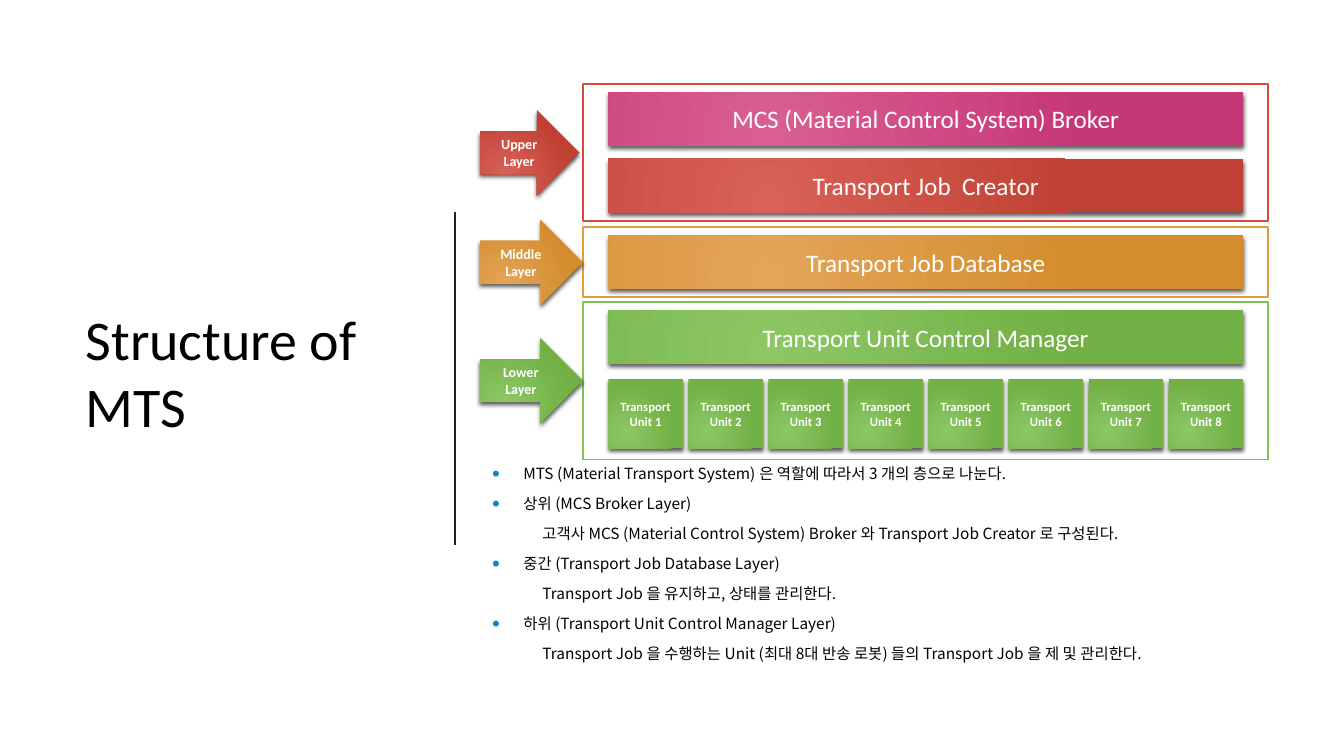
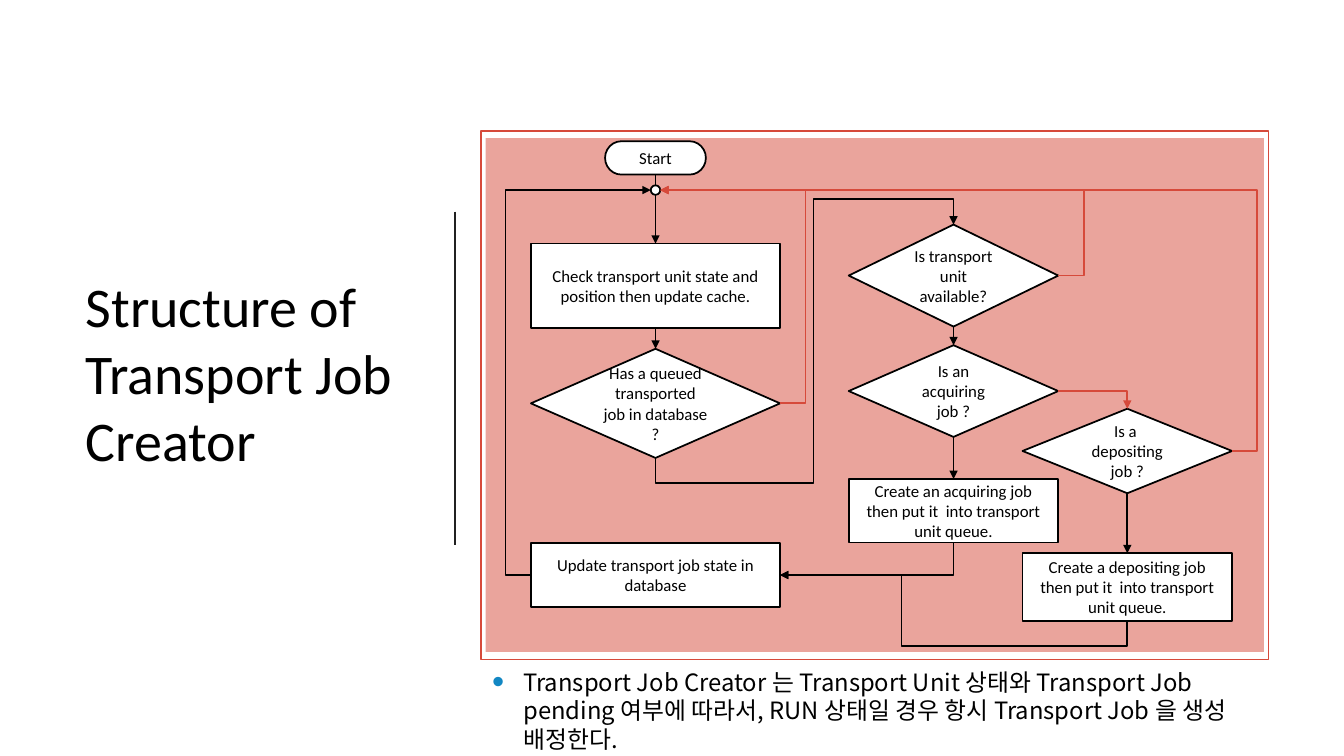
from dataclasses import dataclass
from enum import IntEnum

from lxml import etree
from pptx import Presentation
from pptx.dml.color import RGBColor
from pptx.enum.shapes import MSO_CONNECTOR, MSO_SHAPE
from pptx.enum.text import MSO_ANCHOR, PP_ALIGN
from pptx.oxml.ns import qn
from pptx.shapes.autoshape import Shape
from pptx.shapes.connector import Connector
from pptx.slide import Slide
from pptx.text.text import TextFrame
from pptx.util import Cm, Pt

RECT, ARROW = MSO_SHAPE.RECTANGLE, MSO_SHAPE.RIGHT_ARROW
PROCESS, DECISION = MSO_SHAPE.FLOWCHART_PROCESS, MSO_SHAPE.FLOWCHART_DECISION
TERMINATOR, JOINT = MSO_SHAPE.FLOWCHART_TERMINATOR, MSO_SHAPE.FLOWCHART_CONNECTOR
STRAIGHT, ELBOW = MSO_CONNECTOR.STRAIGHT, MSO_CONNECTOR.ELBOW
MIDDLE, CENTER, LEFT = MSO_ANCHOR.MIDDLE, PP_ALIGN.CENTER, PP_ALIGN.LEFT

WHITE = RGBColor(0xFF, 0xFF, 0xFF)
BLACK = RGBColor(0, 0, 0)
DIVIDER = RGBColor(0x21, 0x21, 0x21)
RED = RGBColor(0xD6, 0x4A, 0x3B)
ORANGE = RGBColor(0xE2, 0x9D, 0x3E)
GREEN = RGBColor(0x80, 0xC3, 0x4F)
BULLET = RGBColor(0x12, 0x87, 0xC3)
PINK_SHADES = RGBColor(0xD9, 0x5F, 0x92), RGBColor(0xC6, 0x37, 0x77)
RED_SHADES = RGBColor(0xD9, 0x61, 0x57), RGBColor(0xC0, 0x40, 0x33)
ORANGE_SHADES = RGBColor(0xE4, 0xA5, 0x59), RGBColor(0xD3, 0x8D, 0x2D)
GREEN_SHADES = RGBColor(0x8C, 0xC7, 0x64), RGBColor(0x72, 0xAF, 0x45)
Shades = tuple[RGBColor, RGBColor]

LATIN, KOREAN = "Calibri", "Noto Sans CJK KR"
OUTLINE = 1.25
STUB = 0.64
BODY_LEFT, BODY_WIDTH = 12.15, 19.68
BAR_LEFT, BAR_WIDTH, BAR_HEIGHT = 15.33, 16.0, 1.35
UNIT_COUNT, UNIT_TOP, UNIT_WIDTH, UNIT_HEIGHT = 8, 9.55, 1.88, 1.75
LEFT_LANE, MID_LANE, RIGHT_LANE = 16.52, 24.03, 28.41


class Side(IntEnum):
    TOP = 0
    LEFT = 1
    BOTTOM = 2
    RIGHT = 3


@dataclass(frozen=True)
class Box:
    left: float
    top: float
    width: float
    height: float


@dataclass(frozen=True)
class Bar:
    text: str
    top: float
    shades: Shades


@dataclass(frozen=True)
class Layer:
    name: str
    color: RGBColor
    shades: Shades
    top: float
    height: float
    arrow_top: float
    arrow_width: float
    bars: tuple[Bar, ...]


@dataclass(frozen=True)
class Step:
    key: str
    kind: MSO_SHAPE
    text: str
    center: float
    top: float
    width: float
    height: float


@dataclass(frozen=True)
class Flow:
    source: str
    exit: Side
    target: str
    entry: Side
    bends: int = 1
    middle: float = 0.5
    color: RGBColor = BLACK


@dataclass(frozen=True)
class Point:
    text: str
    bulleted: bool = True


LAYERS = (
    Layer("Upper", RED, RED_SHADES, 2.12, 3.45, 2.77, 2.51, (
        Bar("MCS (Material Control System) Broker", 2.32, PINK_SHADES),
        Bar("Transport Job  Creator", 4.0, RED_SHADES))),
    Layer("Middle", ORANGE, ORANGE_SHADES, 5.73, 1.75, 5.53, 2.59, (
        Bar("Transport Job Database", 5.93, ORANGE_SHADES),)),
    Layer("Lower", GREEN, GREEN_SHADES, 7.62, 3.96, 8.51, 2.59, (
        Bar("Transport Unit Control Manager", 7.82, GREEN_SHADES),)),
)

LAYER_POINTS = (
    Point("MTS (Material Transport System) 은 역할에 따라서 3 개의 층으로 나눈다."),
    Point("상위 (MCS Broker Layer)"),
    Point("고객사 MCS (Material Control System) Broker 와 Transport Job Creator 로 구성된다.", False),
    Point("중간 (Transport Job Database Layer)"),
    Point("Transport Job 을 유지하고, 상태를 관리한다.", False),
    Point("하위 (Transport Unit Control Manager Layer)"),
    Point("Transport Job 을 수행하는 Unit (최대 8대 반송 로봇) 들의 Transport Job 을 제 및 관리한다.", False),
)

CREATOR_POINTS = (
    Point("Transport Job Creator 는 Transport Unit 상태와 Transport Job pending 여부에 따라서, "
          "RUN 상태일 경우 항시 Transport Job 을 생성 배정한다."),
)

STEPS = (
    Step("start", TERMINATOR, "Start", LEFT_LANE, 3.56, 2.54, 0.84),
    Step("check", PROCESS, "Check transport unit state and position then update cache.",
         LEFT_LANE, 6.14, 6.28, 2.13),
    Step("queued", DECISION, "Has a queued transported job in database ?",
         LEFT_LANE, 8.79, 6.28, 2.75),
    Step("update", PROCESS, "Update transport job state in database",
         LEFT_LANE, 13.69, 6.28, 1.6),
    Step("available", DECISION, "Is transport unit available?", MID_LANE, 5.66, 5.28, 2.57),
    Step("acquiring", DECISION, "Is an acquiring job ?", MID_LANE, 8.7, 5.28, 2.31),
    Step("acquire", PROCESS, "Create an acquiring job then put it  into transport unit queue.",
         MID_LANE, 12.07, 5.28, 1.6),
    Step("depositing", DECISION, "Is a  depositing job ?", RIGHT_LANE, 10.3, 5.28, 2.13),
    Step("deposit", PROCESS, "Create a depositing job then put it  into transport unit queue.",
         RIGHT_LANE, 13.94, 5.28, 1.7),
)
JUNCTION = Step("junction", JOINT, "", LEFT_LANE, 4.67, 0.24, 0.24)

ENTRY_FLOW = Flow("start", Side.BOTTOM, "check", Side.TOP)
FLOWS = (
    Flow("check", Side.BOTTOM, "queued", Side.TOP),
    Flow("queued", Side.BOTTOM, "available", Side.TOP, 5, 0.53),
    Flow("available", Side.BOTTOM, "acquiring", Side.TOP),
    Flow("acquiring", Side.BOTTOM, "acquire", Side.TOP),
    Flow("depositing", Side.BOTTOM, "deposit", Side.TOP),
    Flow("acquire", Side.BOTTOM, "update", Side.RIGHT, 2),
    Flow("deposit", Side.BOTTOM, "update", Side.RIGHT, 4, 0.65),
    Flow("update", Side.LEFT, "junction", Side.LEFT, 3),
    Flow("acquiring", Side.RIGHT, "depositing", Side.TOP, 2, color=RED),
    Flow("queued", Side.RIGHT, "junction", Side.RIGHT, 3, color=RED),
    Flow("available", Side.RIGHT, "junction", Side.RIGHT, 3, color=RED),
    Flow("depositing", Side.RIGHT, "junction", Side.RIGHT, 3, color=RED),
)


def write(frame: TextFrame, lines: tuple[str, ...], size: float, color: RGBColor,
          bold: bool = False, align: PP_ALIGN = CENTER, font: str = LATIN) -> None:
    frame.word_wrap = True
    frame.vertical_anchor = MIDDLE
    for index, line in enumerate(lines):
        paragraph = frame.paragraphs[0] if index == 0 else frame.add_paragraph()
        paragraph.alignment = align
        run = paragraph.add_run()
        run.text = line
        run.font.size, run.font.bold = Pt(size), bold
        run.font.name, run.font.color.rgb = font, color
        etree.SubElement(run._r.get_or_add_rPr(), qn("a:ea"), typeface=KOREAN)


def add_text_box(slide: Slide, box: Box) -> TextFrame:
    return slide.shapes.add_textbox(
        Cm(box.left), Cm(box.top), Cm(box.width), Cm(box.height)).text_frame


def add_block(slide: Slide, kind: MSO_SHAPE, box: Box, fill: RGBColor = WHITE,
              outline: RGBColor | None = None) -> Shape:
    block = slide.shapes.add_shape(
        kind, Cm(box.left), Cm(box.top), Cm(box.width), Cm(box.height))
    block.shadow.inherit = False
    block.fill.solid()
    block.fill.fore_color.rgb = fill
    if outline is None:
        block.line.fill.background()
    else:
        block.line.color.rgb = outline
        block.line.width = Pt(OUTLINE)
    return block


def add_glossy(slide: Slide, kind: MSO_SHAPE, box: Box, shades: Shades) -> Shape:
    block = add_block(slide, kind, box)
    block.fill.gradient()
    for stop, shade in zip(block.fill.gradient_stops, shades):
        stop.color.rgb = shade
    properties = block._element.spPr
    gradient = properties.find(qn("a:gradFill"))
    gradient.remove(gradient.find(qn("a:lin")))
    circle = etree.SubElement(gradient, qn("a:path"), {"path": "circle"})
    etree.SubElement(circle, qn("a:fillToRect"), l="50000", t="100000", r="100000", b="50000")
    shadow = etree.SubElement(
        properties.find(qn("a:effectLst")), qn("a:outerShdw"), blurRad=str(Pt(3)),
        dist=str(Pt(2)), dir="5400000", algn="ctr", rotWithShape="0")
    tint = etree.SubElement(shadow, qn("a:srgbClr"), val=str(BLACK))
    etree.SubElement(tint, qn("a:alpha"), val="64000")
    return block


def style_line(line: Connector, color: RGBColor, width: float, arrow: bool = False) -> None:
    line.line.color.rgb = color
    line.line.width = Pt(width)
    properties = line._element.spPr
    if arrow:
        etree.SubElement(properties.find(qn("a:ln")), qn("a:tailEnd"), type="triangle")
    etree.SubElement(properties, qn("a:effectLst"))


def add_points(slide: Slide, points: tuple[Point, ...], box: Box, size: float) -> None:
    frame = add_text_box(slide, box)
    write(frame, tuple(point.text for point in points), size, BLACK, align=LEFT, font=KOREAN)
    for paragraph, point in zip(frame.paragraphs, points):
        paragraph.line_spacing = Pt(size * 1.2)
        paragraph.space_before, paragraph.space_after = Pt(size * 0.2), Pt(6)
        layout = paragraph._p.get_or_add_pPr()
        layout.set("marL", str(Cm(0.79 if point.bulleted else 1.27)))
        if point.bulleted:
            layout.set("indent", str(-Cm(0.79)))
            color = etree.SubElement(layout, qn("a:buClr"))
            etree.SubElement(color, qn("a:srgbClr"), val=str(BULLET))
            etree.SubElement(layout, qn("a:buSzPct"), val="145000")
            etree.SubElement(layout, qn("a:buFont"), typeface="Arial")
            etree.SubElement(layout, qn("a:buChar"), char="•")


def add_step(slide: Slide, step: Step) -> Shape:
    box = Box(step.center - step.width / 2, step.top, step.width, step.height)
    block = add_block(slide, step.kind, box, outline=BLACK)
    if step.text:
        write(block.text_frame, (step.text,), 12, BLACK)
    return block


def locate(block: Shape, side: Side) -> tuple[int, int]:
    across = {Side.LEFT: 0, Side.RIGHT: block.width}.get(side, block.width // 2)
    down = {Side.TOP: 0, Side.BOTTOM: block.height}.get(side, block.height // 2)
    return block.left + across, block.top + down


def add_flow(slide: Slide, flow: Flow, blocks: dict[str, Shape]) -> None:
    source, target = blocks[flow.source], blocks[flow.target]
    (x1, y1), (x2, y2) = locate(source, flow.exit), locate(target, flow.entry)
    if flow.bends == 1:
        line = slide.shapes.add_connector(STRAIGHT, x1, y1, x2, y2)
    else:
        turned = flow.exit in (Side.TOP, Side.BOTTOM)
        along, aside = (y2 - y1, x1 - x2) if turned else (x2 - x1, y2 - y1)
        width, height = abs(along), abs(aside)
        left, top = (x1 + x2 - width) // 2, (y1 + y2 - height) // 2
        line = slide.shapes.add_connector(ELBOW, left, top, left + width, top + height)
        frame = line._element.spPr.find(qn("a:xfrm"))
        frame.set("rot", "5400000" if turned else "0")
        frame.set("flipH", str(int(along < 0)))
        frame.set("flipV", str(int(aside < 0)))
        geometry = line._element.spPr.find(qn("a:prstGeom"))
        geometry.set("prst", f"bentConnector{flow.bends}")
        lead = -Cm(STUB) / width
        guides = geometry.find(qn("a:avLst"))
        for index, share in enumerate((lead, flow.middle, 1 - lead)[:flow.bends - 2], 1):
            etree.SubElement(guides, qn("a:gd"), name=f"adj{index}",
                             fmla=f"val {round(share * 100000)}")
    ends = line._element.find(qn("p:nvCxnSpPr")).find(qn("p:cNvCxnSpPr"))
    for tag, block, side in (("a:stCxn", source, flow.exit), ("a:endCxn", target, flow.entry)):
        site = side * 2 if block.auto_shape_type == JOINT else side
        etree.SubElement(ends, qn(tag), id=str(block.shape_id), idx=str(int(site)))
    style_line(line, flow.color, OUTLINE, arrow=True)


def add_titled_slide(deck: Presentation, title: str) -> Slide:
    slide = deck.slides.add_slide(deck.slide_layouts[6])
    write(add_text_box(slide, Box(1.91, 2.13, 8.81, 14.48)), (title,), 40, BLACK, align=LEFT)
    divider = slide.shapes.add_connector(STRAIGHT, Cm(11.46), Cm(5.33), Cm(11.46), Cm(13.73))
    style_line(divider, DIVIDER, 1.5)
    return slide


def build_layers(deck: Presentation) -> None:
    slide = add_titled_slide(deck, "Structure of MTS")
    add_points(slide, LAYER_POINTS, Box(BODY_LEFT, 11.79, BODY_WIDTH, 4.83), 11)
    for layer in LAYERS:
        add_block(slide, RECT, Box(14.69, layer.top, 17.27, layer.height), outline=layer.color)
        for bar in layer.bars:
            band = add_glossy(slide, RECT, Box(BAR_LEFT, bar.top, BAR_WIDTH, BAR_HEIGHT), bar.shades)
            write(band.text_frame, (bar.text,), 18, WHITE)
        arrow = add_glossy(slide, ARROW, Box(12.1, layer.arrow_top, layer.arrow_width, 2.16),
                           layer.shades)
        write(arrow.text_frame, (layer.name, "Layer"), 10, WHITE, bold=True)
    pitch = (BAR_WIDTH - UNIT_WIDTH) / (UNIT_COUNT - 1)
    for index in range(UNIT_COUNT):
        box = Box(BAR_LEFT + index * pitch, UNIT_TOP, UNIT_WIDTH, UNIT_HEIGHT)
        unit = add_glossy(slide, RECT, box, GREEN_SHADES)
        write(unit.text_frame, (f"Transport Unit {index + 1}",), 9, WHITE, bold=True)


def build_creator(deck: Presentation) -> None:
    slide = add_titled_slide(deck, "Structure of Transport Job Creator")
    add_points(slide, CREATOR_POINTS, Box(BODY_LEFT, 16.92, BODY_WIDTH, 1.96), 17)
    add_block(slide, RECT, Box(12.13, 3.31, 19.84, 13.31), outline=RED)
    panel = add_block(slide, RECT, Box(12.24, 3.48, 19.61, 12.95), RED)
    tint = panel._element.spPr.find(qn("a:solidFill")).find(qn("a:srgbClr"))
    etree.SubElement(tint, qn("a:alpha"), val="50000")
    blocks = {step.key: add_step(slide, step) for step in STEPS}
    add_flow(slide, ENTRY_FLOW, blocks)
    blocks[JUNCTION.key] = add_step(slide, JUNCTION)
    for flow in FLOWS:
        add_flow(slide, flow, blocks)


presentation = Presentation()
presentation.slide_width, presentation.slide_height = Cm(33.87), Cm(19.05)
build_layers(presentation)
build_creator(presentation)
presentation.save("out.pptx")
